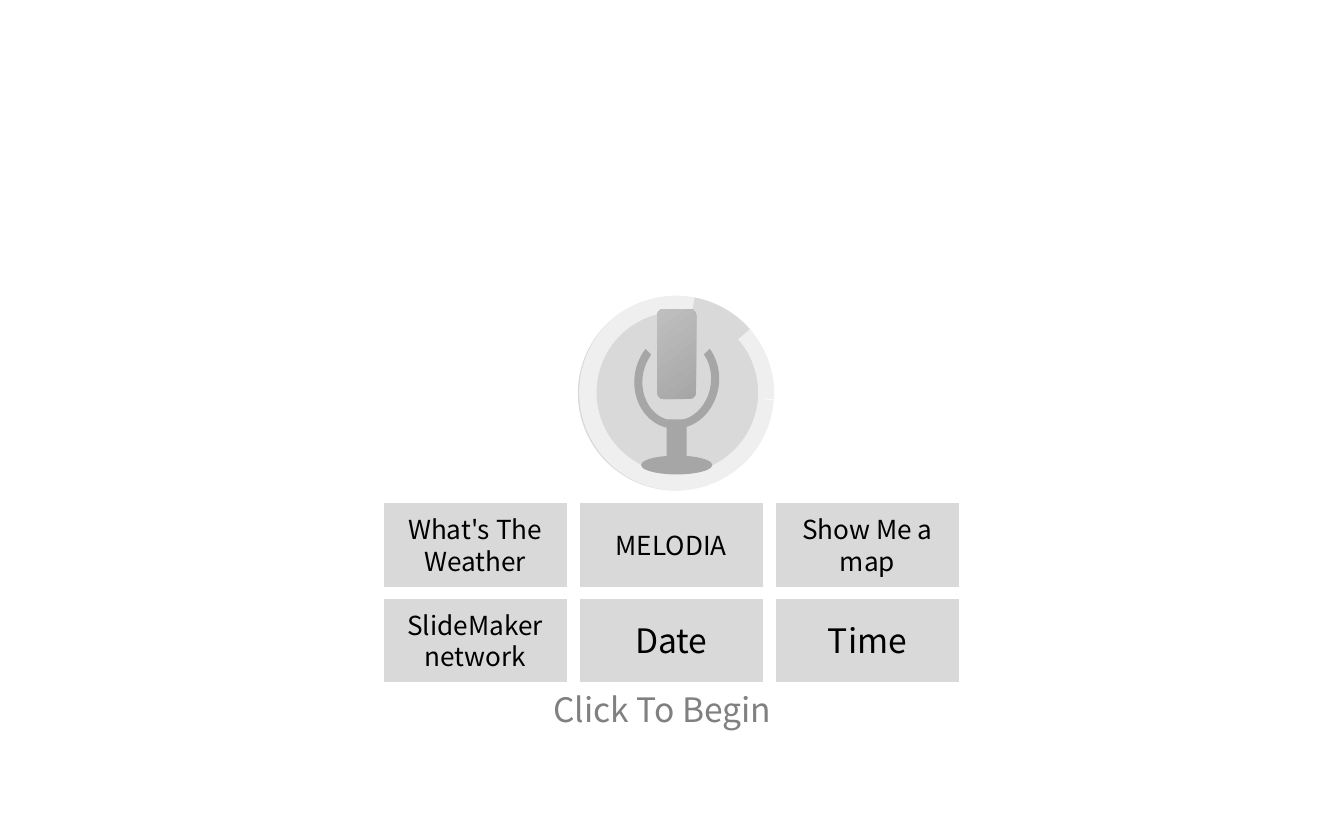
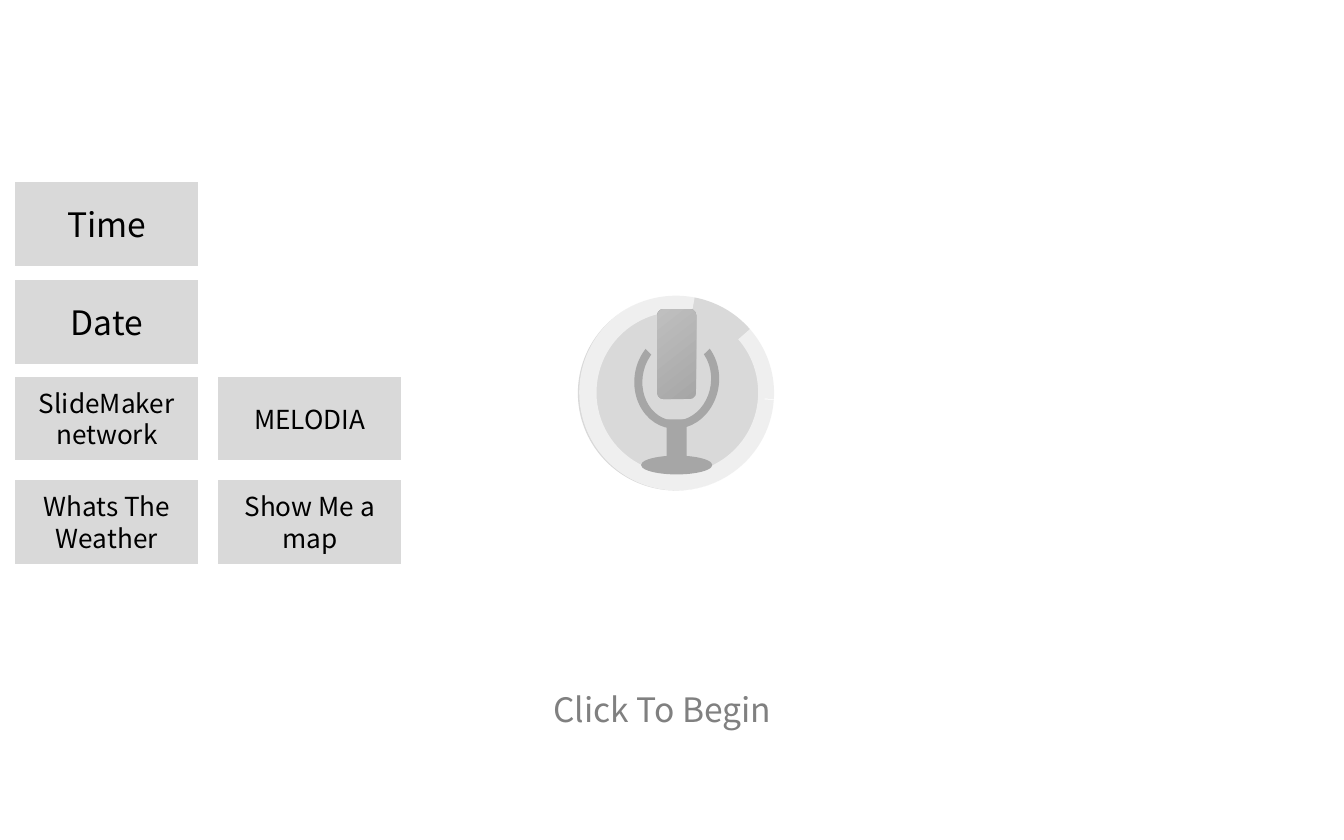
from copy import deepcopy

from lxml.etree import SubElement
from pptx import Presentation
from pptx.dml.color import RGBColor
from pptx.enum.shapes import MSO_SHAPE
from pptx.enum.text import MSO_ANCHOR, MSO_AUTO_SIZE, PP_ALIGN
from pptx.oxml.ns import qn
from pptx.util import Inches, Pt

FONT = "Noto Sans CJK KR"
COLORS = {
    "panel": "D9D9D9",
    "white": "FFFFFF",
    "black": "000000",
    "metal": "A6A6A6",
    "shine": "BFBFBF",
    "prompt": "808080",
}
BUTTON_SIZE = (1.39, 0.65)


def rgb(name):
    return RGBColor.from_string(COLORS[name])


class Assistant:
    """Holds the deck, the current page and the shared style."""

    def __init__(self):
        self.deck = Presentation()
        self.deck.slide_width = Inches(10)
        self.deck.slide_height = Inches(6.25)
        self.page = None

    def new_page(self):
        self.page = self.deck.slides.add_slide(self.deck.slide_layouts[6])

    def shape(self, kind, frame, color="panel", adjust=(), rotation=0, parent=None):
        shapes = (parent or self.page).shapes
        shape = shapes.add_shape(kind, *[Inches(length) for length in frame])
        shape.shadow.inherit = False
        shape.fill.solid()
        shape.fill.fore_color.rgb = rgb(color)
        shape.line.fill.background()
        shape.rotation = rotation
        for index, value in enumerate(adjust):
            shape.adjustments[index] = value
        return shape

    def set_text(self, shape, text, size, color, align):
        shape.text_frame.text = text
        for para in shape.text_frame.paragraphs:
            para.alignment = align
            for span in para.runs:
                span.font.name = FONT
                span.font.size = Pt(size)
                span.font.color.rgb = rgb(color)

    def button(self, text, size, left, top):
        box = self.shape(MSO_SHAPE.RECTANGLE, (left, top, *BUTTON_SIZE))
        box.line.color.rgb = rgb("white")
        box.line.width = Pt(2)
        box.text_frame.word_wrap = True
        box.text_frame.vertical_anchor = MSO_ANCHOR.MIDDLE
        self.set_text(box, text, size, "black", PP_ALIGN.CENTER)

    def disc(self):
        self.shape(MSO_SHAPE.OVAL, (4.42, 2.3, 1.27, 1.26))

    def ring(self):
        self.shape(MSO_SHAPE.BLOCK_ARC, (4.3, 2.2, 1.46, 1.45),
                   adjust=(2.393, 2.122, 0.088))
        glow = self.shape(MSO_SHAPE.BLOCK_ARC, (4.31, 2.19, 1.46, 1.46), "white",
                          (25.247, 2.122, 0.088), 276.8)
        color = glow.element.spPr.find(qn("a:solidFill"))[0]
        SubElement(color, qn("a:alpha")).set("val", "60000")

    def metal_gradient(self, shape):
        fill = shape.fill
        fill.gradient()
        fill.gradient_angle = 128
        stop_list = next(shape.element.spPr.iter(qn("a:gsLst")))
        stop_list.append(deepcopy(stop_list[-1]))
        stops = ((0, "metal"), (0.99, "shine"), (1, "white"))
        for stop, (position, color) in zip(fill.gradient_stops, stops):
            stop.position = position
            stop.color.rgb = rgb(color)

    def microphone(self):
        group = self.page.shapes.add_group_shape()
        head = self.shape(MSO_SHAPE.ROUNDED_RECTANGLE, (4.89, 2.3, 0.29, 0.67),
                          parent=group)
        self.metal_gradient(head)
        self.shape(MSO_SHAPE.BLOCK_ARC, (4.72, 2.47, 0.63, 0.72), "metal",
                   (76.964, 22.424, 0.095), 187.9, group)
        self.shape(MSO_SHAPE.RECTANGLE, (4.96, 3.12, 0.15, 0.36), "metal", parent=group)
        self.shape(MSO_SHAPE.OVAL, (4.77, 3.39, 0.53, 0.14), "metal", parent=group)

    def prompt(self, text):
        box = self.page.shapes.add_textbox(
            Inches(4.02), Inches(5.08), Inches(1.83), Inches(0.4))
        box.text_frame.word_wrap = False
        box.text_frame.auto_size = MSO_AUTO_SIZE.SHAPE_TO_FIT_TEXT
        self.set_text(box, text, 18, "prompt", PP_ALIGN.LEFT)

    def command_page(self, buttons):
        self.new_page()
        self.disc()
        for button in buttons:
            self.button(*button)
        self.ring()
        self.microphone()
        self.prompt("Click To Begin")


assistant = Assistant()

# Page 1: commands in a grid of three columns below the microphone
columns = [2.84 + 1.46 * index for index in range(3)]
upper, lower = 3.73, 4.44
assistant.command_page([
    ("Time", 18, columns[2], lower),
    ("Date", 18, columns[1], lower),
    ("SlideMaker\nnetwork", 14, columns[0], lower),
    ("What's The Weather", 14, columns[0], upper),
    ("Show Me a map", 14, columns[2], upper),
    ("MELODIA", 14, columns[1], upper),
])

# Page 2: commands stacked at the left edge
left, right = 0.1, 1.61
rows = (1.34, 2.07, 2.79, 3.56)
assistant.command_page([
    ("Time", 18, left, rows[0]),
    ("Date", 18, left, rows[1]),
    ("SlideMaker\nnetwork", 14, left, rows[2]),
    ("Whats The Weather", 14, left, rows[3]),
    ("Show Me a map", 14, right, rows[3]),
    ("MELODIA", 14, right, rows[2]),
])

assistant.deck.save("out.pptx")
